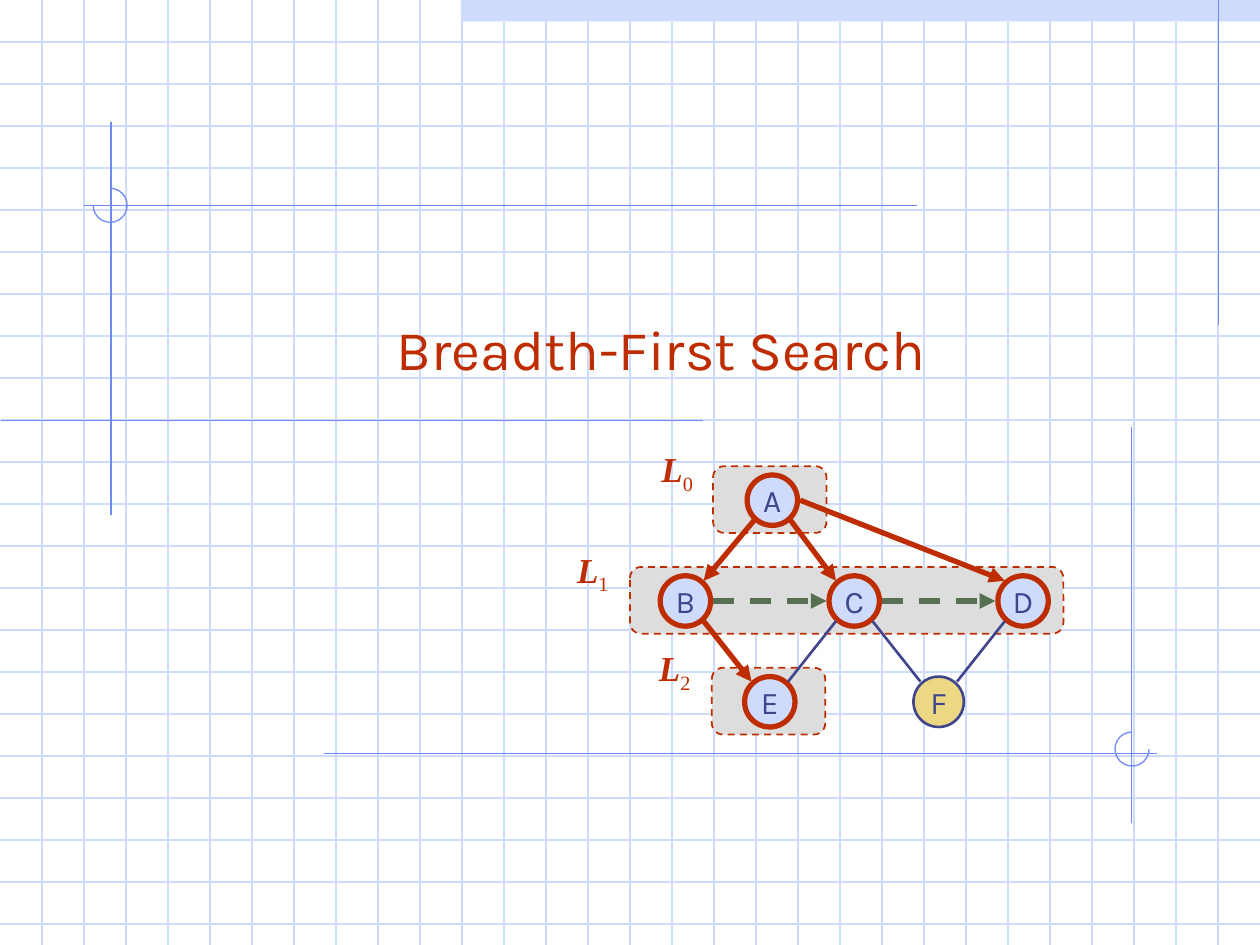
from itertools import product

from lxml.etree import SubElement
from pptx import Presentation
from pptx.dml.color import RGBColor
from pptx.enum.dml import MSO_LINE
from pptx.enum.shapes import MSO_CONNECTOR, MSO_SHAPE
from pptx.enum.text import MSO_ANCHOR, MSO_AUTO_SIZE, PP_ALIGN
from pptx.oxml.ns import qn
from pptx.util import Inches, Pt

WIDTH, HEIGHT = 10, 7.5
COLUMNS, ROWS = 100, 75
PAPER_STEP = 10 / 3

RED, NAVY, GREEN = "BE2D00", "40458C", "577052"
PALE_BLUE, GUIDE_BLUE, GRAY, YELLOW = "CFDBFD", "6F89F7", "DDDDDD", "ECD882"

NODE_SIZE = 4
NODES = {  # centre column and row
    "A": (61.3, 39.7),
    "B": (54.4, 47.7), "C": (67.8, 47.7), "D": (81.2, 47.7),
    "E": (61.1, 55.7), "F": (74.5, 55.7),
}
UNVISITED = {"F"}

# Where an edge touches a node, relative to the node's centre
PORTS = {"left": (-2.2, 0), "right": (2.2, 0)}
PORTS.update({
    f"{vertical} {horizontal}": (dx, dy)
    for (vertical, dy), (horizontal, dx) in product(
        [("top", -1.6), ("bottom", 1.6)], [("left", -1.45), ("right", 1.45)])
})

TREE = dict(color=RED, weight=3, arrow=True)
CROSS = dict(color=GREEN, weight=3, arrow=True, dash=MSO_LINE.DASH)
UNEXPLORED = dict(color=NAVY, weight=1.5)
EDGES = [
    ("A", "bottom left", "B", "top right", TREE),
    ("A", "bottom right", "C", "top left", TREE),
    ("A", "right", "D", "top left", TREE),
    ("B", "bottom right", "E", "top left", TREE),
    ("B", "right", "C", "left", CROSS),
    ("C", "right", "D", "left", CROSS),
    ("C", "bottom left", "E", "top right", UNEXPLORED),
    ("C", "bottom right", "F", "top left", UNEXPLORED),
    ("D", "bottom left", "F", "top right", UNEXPLORED),
]

LEVEL_HEIGHT = 5.3
LEVELS = [  # box left, top, width; label left, top
    (56.6, 37, 9, 51.2, 35),
    (50, 45, 34.4, 44.5, 43),
    (56.5, 53, 9, 51, 50.8),
]

GUIDES = [
    (96.7, 0, 96.7, 25.8), (8.8, 9.7, 8.8, 40.9),
    (0.1, 33.4, 55.8, 33.4), (6.7, 16.3, 72.8, 16.3),
    (25.7, 59.8, 91.8, 59.8), (89.8, 33.9, 89.8, 65.3),
]


def rgb(color):
    return RGBColor.from_string(color)


def add_text(paragraph, text, font="Karla", size=18, color=NAVY,
             bold=False, italic=False, baseline=0):
    paragraph.alignment = PP_ALIGN.CENTER
    run = paragraph.add_run()
    run.text = text
    run.font.name, run.font.size = font, Pt(size)
    run.font.bold, run.font.italic = bold, italic
    run.font.color.rgb = rgb(color)
    if baseline:
        run.font._element.set("baseline", str(baseline * 1000))


class Canvas:
    """Draws on one slide, with lengths in grid columns and rows."""

    def __init__(self, slide):
        self.slide = slide
        self.shapes = slide.shapes

    def place(self, *lengths):
        """Turn alternating columns and rows into slide lengths."""
        units = (WIDTH / COLUMNS, HEIGHT / ROWS)
        return [Inches(length * units[index % 2])
                for index, length in enumerate(lengths)]

    def shape(self, preset, box, fill=None, line=None, weight=0.75, dash=None):
        shape = self.shapes.add_shape(preset, *self.place(*box))
        shape.shadow.inherit = False
        if fill:
            shape.fill.solid()
            shape.fill.fore_color.rgb = rgb(fill)
        else:
            shape.fill.background()
        if line:
            shape.line.color.rgb = rgb(line)
            shape.line.width = Pt(weight)
            shape.line.dash_style = dash
        else:
            shape.line.fill.background()
        return shape

    def line(self, ends, color, weight=0.75, arrow=False, dash=None):
        connector = self.shapes.add_connector(
            MSO_CONNECTOR.STRAIGHT, *self.place(*ends))
        connector.line.color.rgb = rgb(color)
        connector.line.width = Pt(weight)
        connector.line.dash_style = dash
        properties = connector._element.spPr
        if arrow:
            SubElement(properties.find(qn("a:ln")), qn("a:tailEnd"), type="triangle")
        SubElement(properties, qn("a:effectLst"))

    def corner_arc(self, column, row, start, end):
        """Three quarters of a circle, clockwise between two angles in degrees."""
        arc = self.shape(MSO_SHAPE.ARC, (column, row, 2.7, 2.7), line=GUIDE_BLUE)
        for index, angle in enumerate((start, end)):
            arc.adjustments[index] = angle * 60000 / 100000

    def graph_paper(self):
        self.shape(MSO_SHAPE.RECTANGLE, (36.7, 0, 63.3, 1.7), PALE_BLUE)
        for index in range(1, 23):
            row = index * PAPER_STEP
            self.line((0, row, COLUMNS, row), PALE_BLUE)
        for index in range(1, 30):
            column = index * PAPER_STEP
            self.line((column, 0, column, ROWS), PALE_BLUE)
        for ends in GUIDES:
            self.line(ends, GUIDE_BLUE)
        self.corner_arc(7.4, 14.95, 270, 180)
        self.corner_arc(88.5, 58.1, 0, 270)

    def title(self, text, box):
        title = self.shapes.title
        title.left, title.top, title.width, title.height = self.place(*box)
        frame = title.text_frame
        frame.auto_size = MSO_AUTO_SIZE.NONE
        frame.vertical_anchor = MSO_ANCHOR.BOTTOM
        add_text(frame.paragraphs[0], text, size=32, color=RED)
        self.shapes._spTree.append(title._element)  # in front of the paper

    def level_box(self, left, top, width):
        self.shape(MSO_SHAPE.ROUNDED_RECTANGLE, (left, top, width, LEVEL_HEIGHT),
                   GRAY, RED, 1, MSO_LINE.DASH)

    def level_label(self, number, left, top):
        label = self.shapes.add_textbox(*self.place(left, top, 5.1, 4.8))
        label.text_frame.word_wrap = True
        paragraph = label.text_frame.paragraphs[0]
        style = dict(font="Times New Roman", size=20, color=RED)
        add_text(paragraph, "L", bold=True, italic=True, **style)
        add_text(paragraph, str(number), baseline=-25, **style)

    def node(self, name):
        column, row = NODES[name]
        fill, line, weight = ((YELLOW, NAVY, 1.5) if name in UNVISITED
                              else (PALE_BLUE, RED, 3))
        box = (column - NODE_SIZE / 2, row - NODE_SIZE / 2, NODE_SIZE, NODE_SIZE)
        circle = self.shape(MSO_SHAPE.OVAL, box, fill, line, weight)
        frame = circle.text_frame
        frame.word_wrap = False
        frame.vertical_anchor = MSO_ANCHOR.MIDDLE
        add_text(frame.paragraphs[0], name)

    def edge(self, start, start_port, end, end_port, style):
        ends = [centre + offset
                for name, port in ((start, start_port), (end, end_port))
                for centre, offset in zip(NODES[name], PORTS[port])]
        self.line(ends, **style)


def main():
    presentation = Presentation()
    presentation.slide_width, presentation.slide_height = Inches(WIDTH), Inches(HEIGHT)
    canvas = Canvas(presentation.slides.add_slide(presentation.slide_layouts[5]))
    canvas.graph_paper()
    canvas.title("Breadth-First Search", (10, 18.3, 85, 12.5))
    for left, top, width, *_ in LEVELS:
        canvas.level_box(left, top, width)
    for name in NODES:
        canvas.node(name)
    for edge in EDGES:
        canvas.edge(*edge)
    for number, (*_, left, top) in enumerate(LEVELS):
        canvas.level_label(number, left, top)
    presentation.save("out.pptx")


if __name__ == "__main__":
    main()
